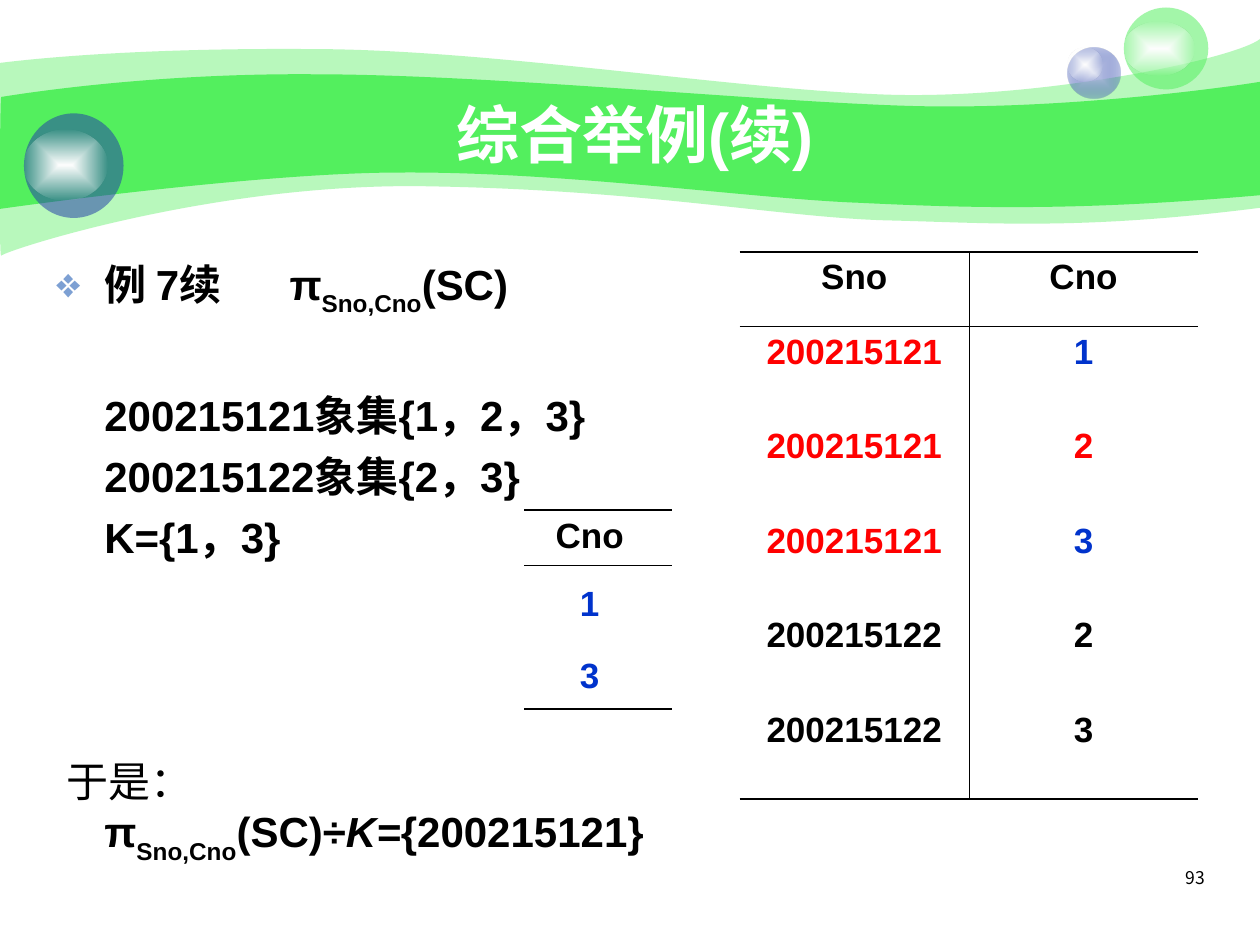
from lxml import etree
from pptx import Presentation
from pptx.dml.color import RGBColor
from pptx.enum.shapes import MSO_SHAPE
from pptx.enum.text import MSO_ANCHOR, PP_ALIGN
from pptx.oxml import parse_xml
from pptx.oxml.ns import nsdecls, qn
from pptx.util import Inches, Pt

OVAL = MSO_SHAPE.OVAL
MIDDLE = MSO_ANCHOR.MIDDLE
CENTER, RIGHT = PP_ALIGN.CENTER, PP_ALIGN.RIGHT
COLORS = {"green": "53EF5E", "navy": "233DA9", "lilac": "C7CEE9", "white": "FFFFFF",
          "black": "000000", "red": "FF0000", "blue": "0033CC", "bullet": "7DA0D3"}
THICK, THIN = 1.08, 0.45

deck = Presentation()
deck.slide_width, deck.slide_height = Inches(10), Inches(7.5)
page = deck.slides.add_slide(deck.slide_layouts[5])
shapes = page.shapes


def paint(shape, stops):
    shape.shadow.inherit = False
    shape.line.fill.background()
    shape.fill.solid()
    colors = [f'<a:srgbClr val="{COLORS[name]}"><a:alpha val="{alpha * 1000}"/></a:srgbClr>'
              for name, alpha in stops]
    if len(stops) == 1:
        xml = f'<a:solidFill {nsdecls("a")}>{colors[0]}</a:solidFill>'
    else:
        xml = (f'<a:gradFill {nsdecls("a")}><a:gsLst><a:gs pos="0">{colors[0]}</a:gs>'
               f'<a:gs pos="100000">{colors[1]}</a:gs></a:gsLst><a:path path="rect">'
               '<a:fillToRect l="50000" t="50000" r="50000" b="50000"/></a:path></a:gradFill>')
    properties = shape._element.spPr
    properties.replace(properties.find(qn("a:solidFill")), parse_xml(xml))


def build_table(left, top, widths, heights, rows, right_margin, body_top_margin):
    frame = shapes.add_table(len(rows), len(widths), Inches(left), Inches(top),
                             Inches(sum(widths)), Inches(sum(heights)))
    table = frame.table
    table.first_row = table.horz_banding = False
    for column, width in zip(table.columns, widths):
        column.width = Inches(width)
    for r, (row, height) in enumerate(zip(rows, heights)):
        table.rows[r].height = Inches(height)
        for c, (text, color) in enumerate(row):
            cell = table.cell(r, c)
            cell.text = text
            cell.margin_right = Inches(right_margin)
            cell.margin_top = Inches(body_top_margin if r else 0.05)
            para = cell.text_frame.paragraphs[0]
            para.alignment = CENTER
            font = para.runs[0].font
            font.name, font.size, font.bold = "Arial", Pt(20), True
            font.color.rgb = RGBColor.from_string(COLORS[color])
            cell.fill.background()
            edges = {"lnL": THIN if c > 0 else 0,
                     "lnR": THIN if c < len(widths) - 1 else 0,
                     "lnT": {0: THICK, 1: THIN}.get(r, 0),
                     "lnB": THIN if r == 0 else THICK if r == len(rows) - 1 else 0}
            for place, (side, width) in enumerate(edges.items()):
                line = etree.Element(qn(f"a:{side}"), w=str(Pt(width)))
                if width:
                    solid = etree.SubElement(line, qn("a:solidFill"))
                    etree.SubElement(solid, qn("a:srgbClr"), val=COLORS["black"])
                else:
                    etree.SubElement(line, qn("a:noFill"))
                cell._tc.get_or_add_tcPr().insert(place, line)


waves = [
    (41, [(0, 0.5),
          (0.24, 0.47, 1.07, 0.38, 2.47, 0.39), (3.86, 0.39, 5.75, 0.7, 6.99, 0.75),
          (8.22, 0.8, 9.8, 0.47, 10, 0.31), (10, 1.65),
          (8.58, 1.83, 7.87, 1.77, 7.05, 1.75), (6.22, 1.73, 5.15, 1.51, 3.43, 1.48),
          (1.72, 1.44, 0.04, 1.99, 0.01, 2.03), (-0.01, 2.08, 0, 0.75, 0, 0.5)]),
    (100, [(0.01, 0.77),
           (0.02, 0.77, 1.1, 0.58, 2.48, 0.59), (3.86, 0.59, 5.95, 0.8, 7.18, 0.84),
           (8.41, 0.88, 9.76, 0.69, 10, 0.65), (10, 1.55),
           (8.53, 1.68, 7.65, 1.65, 6.82, 1.61), (5.99, 1.58, 4.47, 1.36, 3.17, 1.37),
           (2.03, 1.37, -0.02, 1.66, -0.01, 1.66), (0, 1.66, 0, 0.77, 0.01, 0.77)]),
]
UNITS = 100
for alpha, segments in waves:
    points = [(round(x * UNITS), round(y * UNITS))
              for segment in segments for x, y in zip(segment[::2], segment[1::2])]
    builder = shapes.build_freeform(*points[0], scale=Inches(1) / UNITS)
    builder.add_line_segments(points[1:], close=True)
    wave = builder.convert_to_shape()
    steps = iter(list(wave._element.iter(qn("a:lnTo"))))
    for segment in segments[1:]:
        first = next(steps)
        if len(segment) == 6:
            curve = etree.Element(qn("a:cubicBezTo"))
            first.addprevious(curve)
            for step in (first, next(steps), next(steps)):
                curve.append(step[0])
                step.getparent().remove(step)
    paint(wave, [("green", alpha)])

shine = [("white", 100), ("white", 0)]
bubbles = [
    (8.47, 0.38, 0.42, 0.4, [("lilac", 100), ("navy", 31)]),
    (8.47, 0.38, 0.28, 0.27, shine),
    (8.92, 0.06, 0.67, 0.65, [("green", 53)]),
    (8.92, 0.17, 0.56, 0.43, shine),
    (0.19, 0.9, 0.79, 0.83, [("navy", 53)]),
    (0.19, 1.03, 0.66, 0.56, shine),
]
for *place, stops in bubbles:
    paint(shapes.add_shape(OVAL, *map(Inches, place)), stops)

title = shapes.title
title.left, title.top, title.width, title.height = map(Inches, (1, 0.75, 8.08, 0.62))
title.text_frame.text = "综合举例(续)"
title.text_frame.vertical_anchor = MIDDLE
para = title.text_frame.paragraphs[0]
para.alignment = CENTER
font = para.runs[0].font
font.name, font.size, font.bold = "Arial", Pt(36), True
font.color.rgb = RGBColor.from_string(COLORS["white"])
shapes._spTree.append(title._element)

body = shapes.add_textbox(*map(Inches, (0.35, 2, 5.2, 4.92)))
body.text_frame.word_wrap = True
lines = [
    (0.38, 0, [("例 7续\tπ", "b"), ("Sno,Cno", "bs"), ("(SC)", "b")]),
    (0.38, 41, [("200215121象集{1，2，3}", "b")]),
    (0.38, 6, [("200215122象集{2，3}", "b")]),
    (0.38, 6, [("K={1，3}", "b")]),
    (0.08, 110.5, [("于是：", "")]),
    (0.38, 0, [("π", "b"), ("Sno,Cno", "bs"), ("(SC)÷", "b"), ("K=", "bi"),
               ("{200215121}", "b")]),
]
for number, (indent, before, spans) in enumerate(lines):
    para = body.text_frame.paragraphs[0] if number == 0 else body.text_frame.add_paragraph()
    properties = para._p.get_or_add_pPr()
    properties.set("marL", str(Inches(indent)))
    if number == 0:
        properties.set("indent", str(-Inches(indent)))
        color = etree.SubElement(properties, qn("a:buClr"))
        etree.SubElement(color, qn("a:srgbClr"), val=COLORS["bullet"])
        etree.SubElement(properties, qn("a:buChar"), char="❖")
        tabs = etree.SubElement(properties, qn("a:tabLst"))
        etree.SubElement(tabs, qn("a:tab"), pos=str(Inches(1.85)), algn="l")
    para.space_before = Pt(before)
    for text, style in spans:
        span = para.add_run()
        span.text = text
        font = span.font
        font.name, font.size = "Arial", Pt(24)
        font.bold, font.italic = "b" in style, "i" in style
        font.color.rgb = RGBColor.from_string(COLORS["black"])
        if "s" in style:
            span._r.get_or_add_rPr().set("baseline", "-30000")

build_table(5.87, 2, [1.82] * 2, [0.59] + [0.75] * 5, [
    [("Sno", "black"), ("Cno", "black")],
    [("200215121", "red"), ("1", "blue")],
    [("200215121", "red"), ("2", "red")],
    [("200215121", "red"), ("3", "blue")],
    [("200215122", "black"), ("2", "black")],
    [("200215122", "black"), ("3", "black")],
], 0.1, 0.05)
build_table(4.16, 4.05, [1.17], [0.44, 0.57, 0.57],
            [[("Cno", "black")], [("1", "blue")], [("3", "blue")]], 0.23, 0.15)

number_box = shapes.add_textbox(*map(Inches, (7.58, 6.83, 2.08, 0.5)))
number_box.text_frame.word_wrap = True
number_box.text_frame.text = "93"
para = number_box.text_frame.paragraphs[0]
para.alignment = RIGHT
font = para.runs[0].font
font.name, font.size = "Noto Sans CJK KR", Pt(10)
font.color.rgb = RGBColor.from_string(COLORS["black"])

deck.save("out.pptx")
